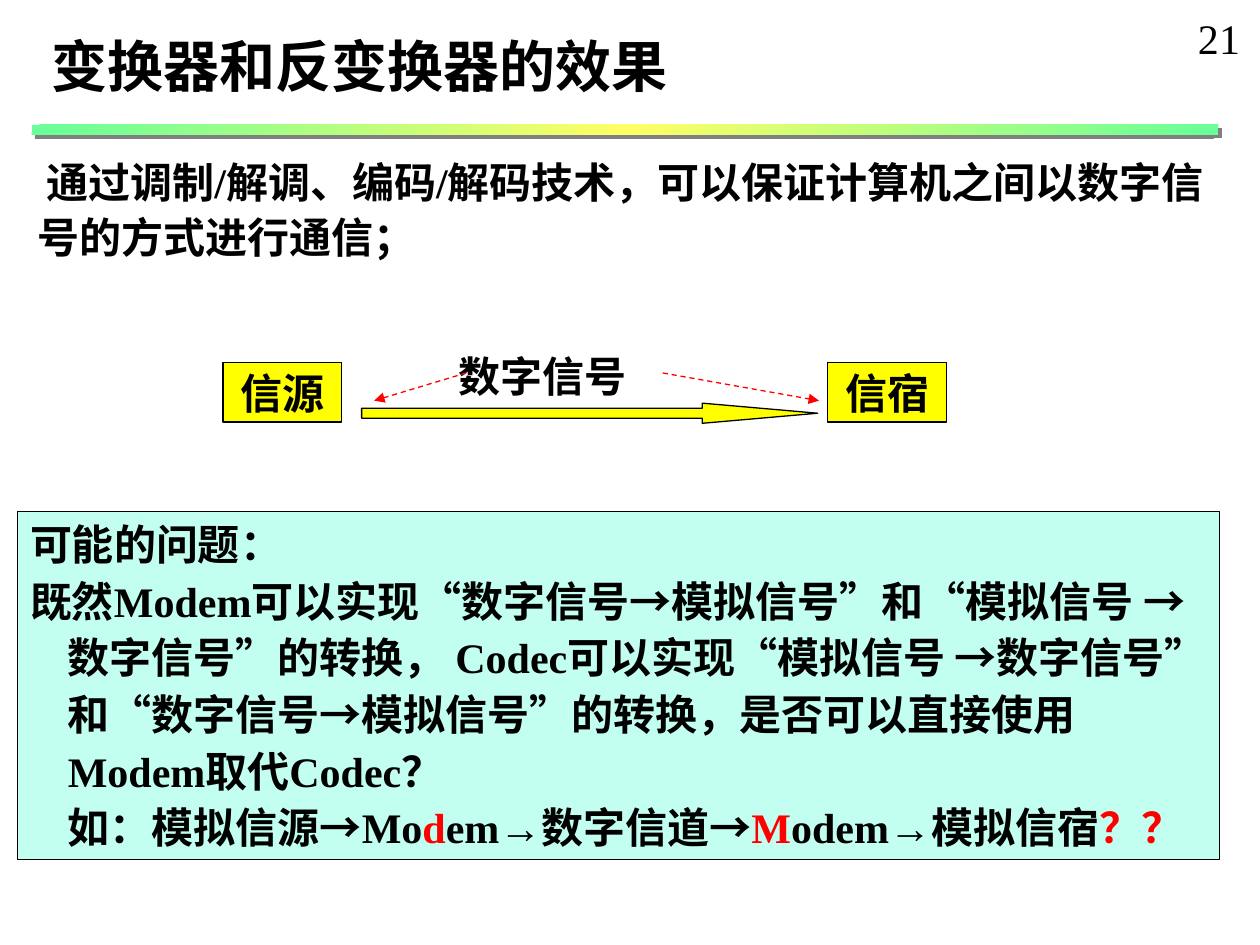
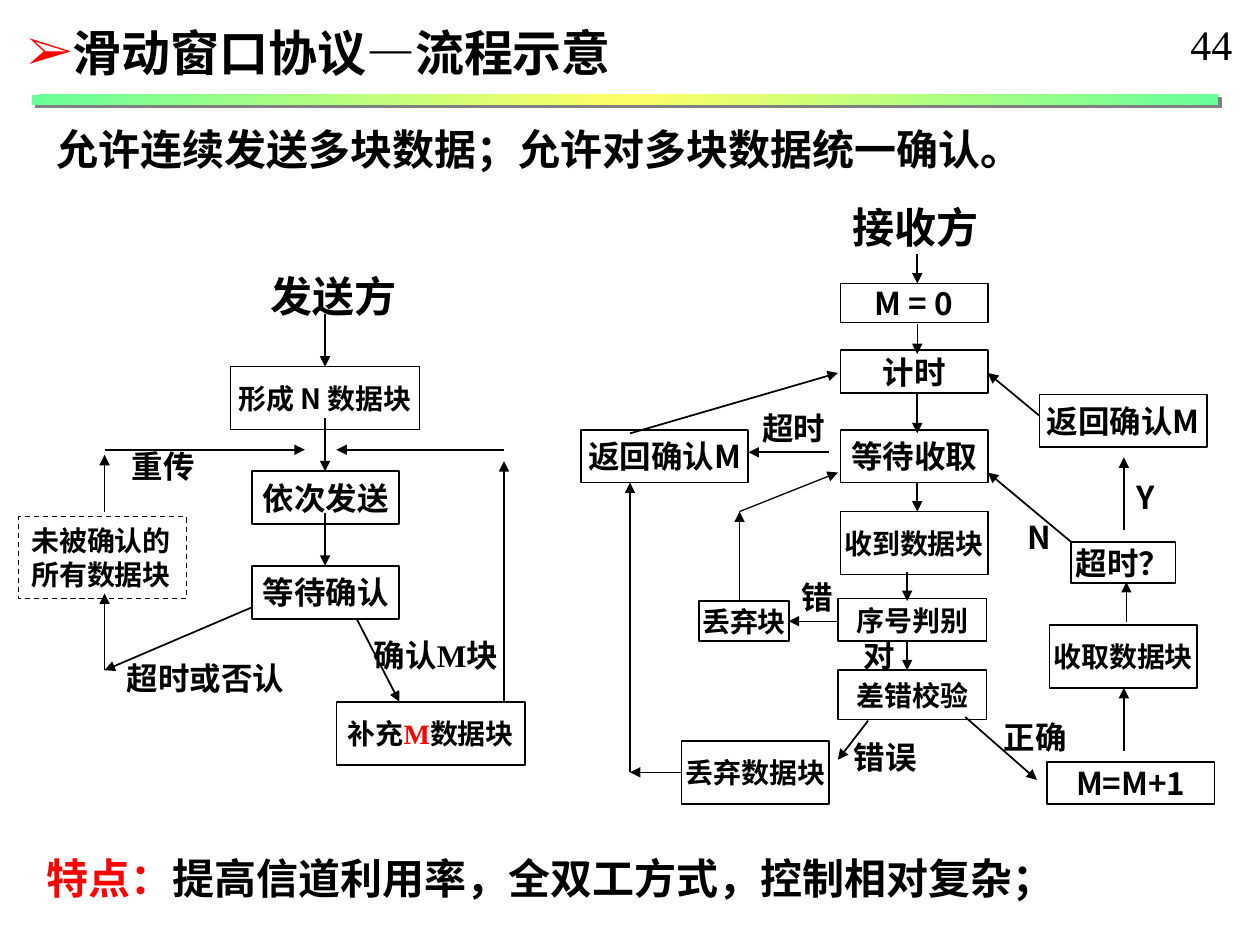
import copy
from dataclasses import dataclass

import pptx
import pptx.dml.color
import pptx.enum.dml
import pptx.enum.shapes
import pptx.enum.text
import pptx.oxml.ns
import pptx.util
from lxml import etree

Inches, Pt = pptx.util.Inches, pptx.util.Pt
Align = pptx.enum.text.PP_ALIGN
Shape = pptx.enum.shapes.MSO_SHAPE
qn = pptx.oxml.ns.qn

HUES = {"ink": "000000", "paper": "FFFFFF", "red": "FF0000", "yellow": "FFFF00",
        "mint": "C2FFF0", "green": "66FF99", "lemon": "FFFF66", "shade": "808080"}
SERIF, SANS = "Times New Roman", "Noto Sans CJK SC"


@dataclass
class Run:
    text: str
    hue: str = "ink"
    face: str = ""


@dataclass
class Para:
    runs: list
    before: float = 0
    left: float = 0
    first: float = 0
    bullet: str = ""


@dataclass
class Style:
    size: float = 24
    face: str = SERIF
    bold: bool = True
    align: Align = Align.LEFT
    wrap: bool = False
    lead: float = 1.2


@dataclass
class Box:
    """A frame with text; without fill and edge it is a plain label."""
    at: tuple
    text: object
    style: Style
    fill: str = ""
    edge: float = 0
    dash: bool = False


@dataclass
class Link:
    start: tuple
    end: tuple
    hue: str = "ink"
    width: float = 1
    dash: bool = False


def rgb(hue: str):
    return pptx.dml.color.RGBColor.from_string(HUES[hue])


def place(at: tuple) -> list:
    return [Inches(v) for v in at]


def paras(text) -> list:
    """Turn a string, a list of runs or a list of paragraphs into paragraphs."""
    if isinstance(text, str):
        return [Para([Run(line)]) for line in text.split("\n")]
    return text if isinstance(text[0], Para) else [Para(text)]


def write(frame, text, style: Style) -> None:
    frame.word_wrap = style.wrap
    frame.vertical_anchor = pptx.enum.text.MSO_ANCHOR.MIDDLE
    for i, item in enumerate(paras(text)):
        par = frame.paragraphs[0] if i == 0 else frame.add_paragraph()
        par.alignment = style.align
        par.line_spacing = Pt(style.size * style.lead)
        par.space_before = Pt(item.before)
        props = par._p.get_or_add_pPr()
        props.set("marL", str(Inches(item.left)))
        props.set("indent", str(Inches(item.first)))
        if item.bullet:
            tint = etree.SubElement(props, qn("a:buClr"))
            etree.SubElement(tint, qn("a:srgbClr"), val=HUES["red"])
            etree.SubElement(props, qn("a:buFont"), typeface=SERIF)
            etree.SubElement(props, qn("a:buChar"), char=item.bullet)
        for part in item.runs:
            run = par.add_run()
            run.text = part.text
            font = run.font
            font.size, font.bold = Pt(style.size), style.bold
            font.name = part.face or style.face
            font.color.rgb = rgb(part.hue)
            etree.SubElement(run._r.get_or_add_rPr(), qn("a:ea"), typeface=SANS)


def stroke(line, hue: str, width: float, dash: bool) -> None:
    line.color.rgb = rgb(hue)
    line.width = Pt(width)
    if dash:
        line.dash_style = pptx.enum.dml.MSO_LINE.DASH


def draw(slide, box: Box) -> None:
    if not (box.fill or box.edge):
        shape = slide.shapes.add_textbox(*place(box.at))
    else:
        shape = block(slide, Shape.RECTANGLE, box.at, box.fill, box.edge, box.dash)
    write(shape.text_frame, box.text, box.style)


def block(slide, kind, at: tuple, fill: str, edge: float, dash: bool = False):
    shape = slide.shapes.add_shape(kind, *place(at))
    shape.shadow.inherit = False
    if fill:
        shape.fill.solid()
        shape.fill.fore_color.rgb = rgb(fill)
    else:
        shape.fill.background()
    if edge:
        stroke(shape.line, "ink", edge, dash)
    else:
        shape.line.fill.background()
    return shape


def join(slide, link: Link) -> None:
    wire = slide.shapes.add_connector(pptx.enum.shapes.MSO_CONNECTOR.STRAIGHT,
                                      *place(link.start + link.end))
    stroke(wire.line, link.hue, link.width, link.dash)
    etree.SubElement(wire.line._get_or_add_ln(), qn("a:tailEnd"), type="triangle")
    etree.SubElement(wire._element.spPr, qn("a:effectLst"))


def band(slide, top: float) -> None:
    """Draw the shaded colour bar under the title."""
    bar = block(slide, Shape.RECTANGLE, (0.25, top, 9.42, 0.08), "", 0)
    bar.fill.gradient()
    bar.fill.gradient_angle = 315
    stops = bar._element.spPr.find(".//" + qn("a:gsLst"))
    stops.append(copy.deepcopy(stops[0]))
    for stop, hue, spot in zip(bar.fill.gradient_stops,
                               ("green", "lemon", "green"), (0, 0.5, 1)):
        stop.color.rgb = rgb(hue)
        stop.position = spot
    glow = etree.SubElement(bar._element.spPr.find(qn("a:effectLst")),
                            qn("a:outerShdw"), blurRad="0", dist=str(Pt(2.8)),
                            dir="2700000", algn="ctr", rotWithShape="0")
    etree.SubElement(glow, qn("a:srgbClr"), val=HUES["shade"])


def start(deck, title: Box, page: Box, bar: float):
    slide = deck.slides.add_slide(deck.slide_layouts[6])
    band(slide, bar)
    draw(slide, title)
    draw(slide, page)
    return slide


PAGE = Style(bold=False)
PLAIN = Style()
FLOW = Style(wrap=True)
MID = Style(align=Align.CENTER)
HEAD = Style(face=SANS, align=Align.CENTER)
STEP = Style(18, SANS, align=Align.CENTER)
SMALL = Style(16, SANS, align=Align.CENTER)


def effect(deck) -> None:
    slide = start(deck, Box((0.31, 0.2, 6.43, 0.63), "变换器和反变换器的效果", Style(32, wrap=True)),
                  Box((9.41, 0.05, 0.54, 0.5), "21", PAGE), 0.99)
    lead = "通过调制/解调、编码/解码技术，可以保证计算机之间以数字信号的方式进行通信；"
    draw(slide, Box((0.2, 1.15, 9.53, 0.98), [Para([Run(lead)], first=0.07)],
                    Style(wrap=True, lead=1.32)))
    for left, name in ((1.77, "信源"), (6.57, "信宿")):
        draw(slide, Box((left, 2.88, 0.94, 0.47), name, MID, "yellow", 0.75))
    arrow = block(slide, Shape.RIGHT_ARROW, (2.87, 3.2, 3.62, 0.16), "yellow", 0.75)
    arrow.adjustments[1] = 5.73
    draw(slide, Box((3.54, 2.73, 1.56, 0.51), "数字信号", PLAIN))

    lines = ["数字信号”的转换， Codec可以实现“模拟信号 →数字信号”",
             "和“数字信号→模拟信号”的转换，是否可以直接使用", "Modem取代Codec？"]
    chain = [Run("如：模拟信源→Mo"), Run("d", "red"), Run("em→数字信道→"),
             Run("M", "red"), Run("odem→模拟信宿"), Run("？？", "red")]
    issue = [Para([Run("可能的问题：")]),
             Para([Run("既然Modem可以实现“数字信号→模拟信号”和“模拟信号 →")], 3.6)]
    issue += [Para(runs, 3.6, 0.3) for runs in [[Run(s)] for s in lines] + [chain]]
    draw(slide, Box((0.14, 4.06, 9.54, 2.76), issue, PLAIN, "mint", 0.75))
    for tip, end in ((3.7, 2.97), (5.26, 6.5)):
        join(slide, Link((tip, 2.96), (end, 3.18), "red", 0.75, True))


NODES = [  # left, top, width, height, text, style
    (1.83, 2.91, 1.5, 0.5, "形成 N 数据块", SMALL),
    (2, 3.74, 1.17, 0.42, "依次发送", STEP),
    (2, 4.49, 1.17, 0.42, "等待确认", STEP),
    (2.67, 5.57, 1.5, 0.5,
     [Run("补充"), Run("M", "red", SERIF), Run("数据块")], SMALL),
    (6.67, 2.25, 1.17, 0.31, "M = 0", STEP),
    (6.67, 2.78, 1.17, 0.34, "计时", STEP),
    (6.67, 3.41, 1.17, 0.42, "等待收取", STEP),
    (6.67, 4.06, 1.17, 0.5, "收到数据块", SMALL),
    (6.65, 4.75, 1.18, 0.34, "序号判别", SMALL),
    (6.65, 5.32, 1.18, 0.39, "差错校验", SMALL),
    (4.61, 3.41, 1.33, 0.42, "返回确认M", STEP),
    (5.55, 4.77, 0.71, 0.32, "丢弃块", SMALL),
    (5.41, 5.88, 1.17, 0.5, "丢弃数据块", SMALL),
    (8.25, 3.13, 1.33, 0.42, "返回确认M", STEP),
    (8.5, 4.3, 0.83, 0.33, "超时？", STEP),
    (8.33, 4.96, 1.17, 0.5, "收取数据块", SMALL),
    (8.31, 6.05, 1.33, 0.33, "M=M+1", STEP),
]
LABELS = [
    (2.05, 2.1, 1.2, 0.5, "发送方", HEAD),
    (6.67, 1.55, 1.2, 0.5, "接收方", HEAD),
    (0.88, 5.17, 1.5, 0.42, "超时或否认", STEP),
    (0.92, 3.49, 0.75, 0.42, "重传", STEP),
    (2.76, 4.99, 1.4, 0.42, [Run("确认"), Run("M", face=SERIF), Run("块")], STEP),
    (6.65, 5.8, 0.75, 0.42, "错误", STEP),
    (7.84, 5.64, 0.75, 0.42, "正确", STEP),
    (8.92, 3.74, 0.32, 0.4, "Y", STEP),
    (8.06, 4.06, 0.32, 0.4, "N", STEP),
    (5.95, 3.2, 0.7, 0.4, "超时", STEP),
    (6.26, 4.54, 0.45, 0.4, "错", STEP),
    (6.75, 5, 0.45, 0.4, "对", STEP),
]
LINKS = [  # from x, y to x, y
    (2.58, 2.49, 2.58, 2.91), (2.58, 3.32, 2.58, 3.74), (2.58, 4.07, 2.58, 4.49),
    (2, 4.82, 0.83, 5.32), (0.83, 5.32, 0.83, 4.71), (0.83, 4.06, 0.83, 3.61),
    (0.83, 3.57, 2.42, 3.57), (2.83, 4.91, 3.17, 5.57), (4, 5.57, 4, 3.66),
    (4, 3.57, 2.67, 3.57), (7.28, 2.02, 7.28, 2.25), (7.28, 3.12, 7.28, 3.44),
    (7.28, 3.83, 7.28, 4.06), (7.2, 4.54, 7.2, 4.77), (7.2, 5.09, 7.2, 5.32),
    (6.89, 5.72, 6.65, 6.03), (7.66, 5.69, 8.23, 6.19), (8.92, 5.96, 8.92, 5.46),
    (8.94, 4.94, 8.94, 4.62), (8.92, 4.21, 8.92, 3.63), (8.5, 4.3, 7.84, 3.75),
    (8.25, 3.3, 7.84, 2.96), (6.58, 3.59, 5.94, 3.59), (5.41, 6.13, 5, 6.13),
    (5, 6.13, 5, 3.83), (5, 3.44, 6.65, 2.96),
]
THIN = [(7.28, 2.57, 7.28, 2.81), (6.65, 4.93, 6.26, 4.93),
        (5.87, 4.77, 5.87, 4.06), (5.87, 4.06, 6.65, 3.75)]


def window(deck) -> None:
    """Build the flow charts of the sliding window protocol."""
    name = Para([Run("滑动窗口协议—流程示意")], left=0.33, first=-0.33, bullet="➢")
    slide = start(deck, Box((0.12, 0.13, 5.28, 0.57), [name], Style(28, SANS, wrap=True)),
                  Box((9.35, 0.1, 0.54, 0.5), "44", PAGE), 0.75)
    draw(slide, Box((0.35, 0.95, 8.4, 0.46), "允许连续发送多块数据；允许对多块数据统一确认。",
                    Style(face=SANS, wrap=True)))
    for *at, text, style in NODES:
        draw(slide, Box(tuple(at), text, style, "paper", 1))
    draw(slide, Box((0.15, 4.1, 1.33, 0.65), "未被确认的\n所有数据块", Style(16),
                    edge=0.75, dash=True))
    for *at, text, style in LABELS:
        draw(slide, Box(tuple(at), text, style))
    for width, group in ((1, LINKS), (0.75, THIN)):
        for ends in group:
            join(slide, Link(ends[:2], ends[2:], width=width))
    draw(slide, Box((0.27, 6.72, 9.06, 0.5),
                    [Run("特点：", "red"), Run("提高信道利用率，全双工方式，控制相对复杂；")], FLOW))


def main() -> None:
    deck = pptx.Presentation()
    deck.slide_width, deck.slide_height = Inches(10), Inches(7.5)
    effect(deck)
    window(deck)
    deck.save("out.pptx")


if __name__ == "__main__":
    main()
